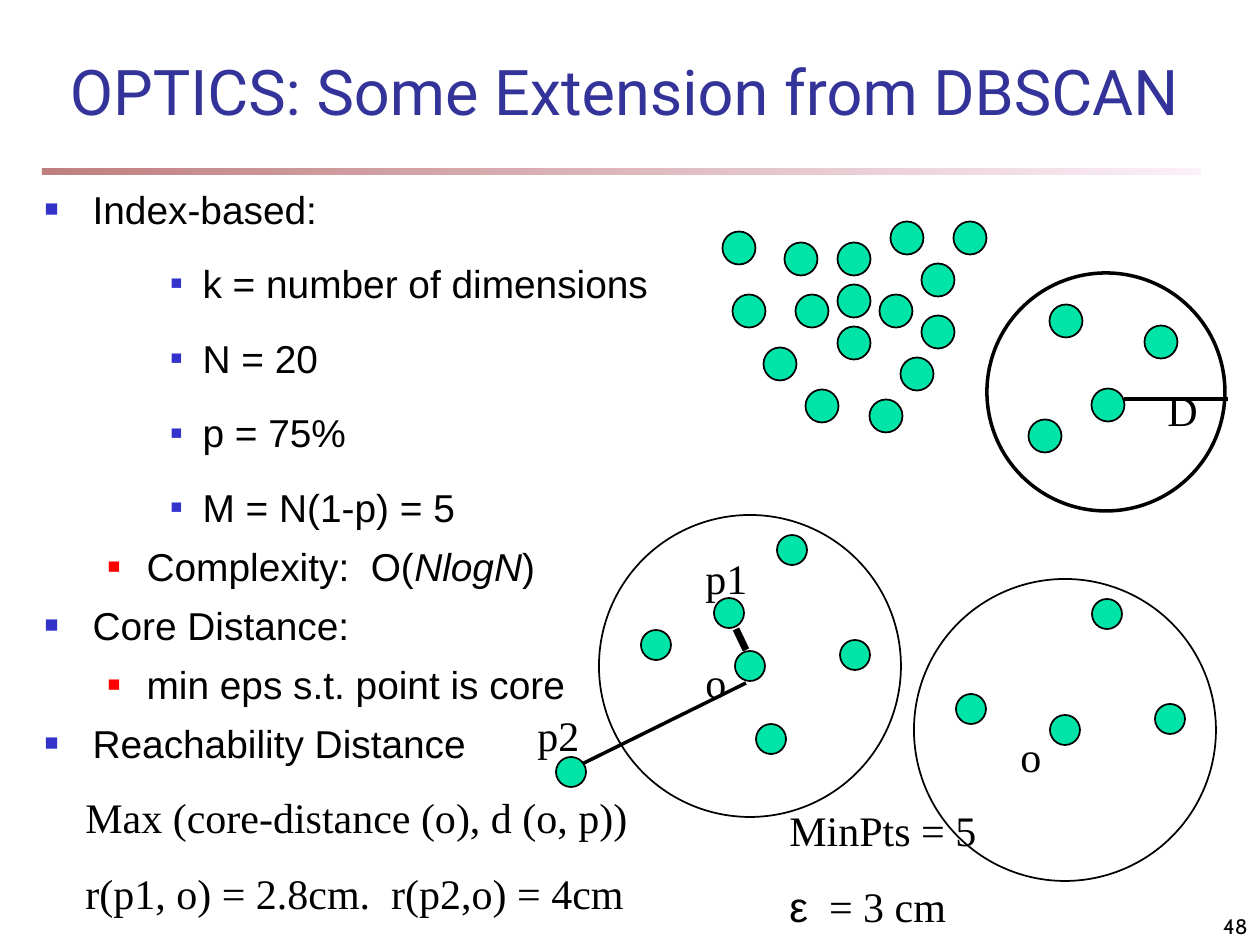
import pptx
import pptx.util
import pptx.dml.color
import pptx.enum.shapes
import pptx.enum.text
import pptx.oxml.ns
import lxml.etree

PX = 914400 // 126
THEME = {
    "title": ("Roboto", 36, "333399"),
    "body": ("Arial", 22.2, "000000"),
    "label": ("Times New Roman", 24, "000000"),
    "symbol": ("Arial", 24, "000000"),
    "number": ("Cabin", 12, "000000"),
    "dot": "00E4A8",
    "line": "000000",
    "rule": ("800000", "FAE2F6"),
}
LEVELS = [
    {"indent": 48, "hang": 48, "before": 7, "bullet": "3333CC", "size": 60},
    {"indent": 102, "hang": 39, "before": 7, "bullet": "FF0000", "size": 55},
    {"indent": 158, "hang": 32, "before": 16, "bullet": "3333CC", "size": 50},
]
TITLE = "OPTICS: Some Extension from DBSCAN"
BODY = [
    (0, ["Index-based: "]),
    (2, ["k = number of dimensions "]),
    (2, ["N = 20"]),
    (2, ["p = 75%"]),
    (2, ["M = N(1-p) = 5"]),
    (1, ["Complexity:  O(", "NlogN", ")"]),
    (0, ["Core Distance: "]),
    (1, ["min eps s.t. point is core"]),
    (0, ["Reachability Distance"]),
]
ITALIC = {"NlogN"}
CIRCLES = [(1106, 392, 238, 2), (750, 666, 302, 1), (1065, 730, 302, 1)]
LINES = [
    (1124, 399, 1228, 399, 2),
    (736, 629, 746, 650, 4),
    (746, 683, 578, 766, 2),
]
DOTS = {
    33: [
        (739, 248), (801, 259), (854, 259), (907, 238), (970, 238), (938, 280),
        (749, 311), (812, 311), (854, 301), (896, 311), (938, 332), (854, 343),
        (780, 364), (917, 374), (822, 406), (886, 416),
        (1066, 321), (1161, 342), (1108, 405), (1045, 436),
    ],
    30: [
        (792, 550), (729, 613), (656, 645), (750, 666), (855, 655), (771, 739),
        (571, 772), (1107, 614), (971, 709), (1065, 730), (1170, 719),
    ],
}
LABELS = [
    (1155, 378, 60, 63, [[("D", "label")]]),
    (525, 703, 73, 63, [[("p2", "label")]]),
    (693, 546, 73, 63, [[("p1", "label")]]),
    (693, 650, 73, 63, [[("o", "label")]]),
    (1008, 724, 73, 63, [[("o", "label")]]),
    (777, 798, 242, 140, [[("MinPts = 5", "label")],
                          [("ε", "symbol"), ("  = 3 cm", "label")]]),
    (73, 785, 599, 140, [[("Max (core-distance (o), d (o, p))", "label")],
                         [("r(p1, o) = 2.8cm.  r(p2,o) = 4cm", "label")]]),
]


def px(*values):
    return [v * PX for v in values]


def rgb(value):
    return pptx.dml.color.RGBColor.from_string(value)


def child(parent, tag, **attrs):
    el = lxml.etree.SubElement(parent, pptx.oxml.ns.qn(tag))
    for key, value in attrs.items():
        el.set(key, str(value))
    return el


def add_run(p, text, style):
    name, size, color = THEME[style]
    r = p.add_run()
    r.text = text
    r.font.name = name
    r.font.size = pptx.util.Pt(size)
    r.font.color.rgb = rgb(color)
    return r


def paragraph(tf, i):
    return tf.add_paragraph() if i else tf.paragraphs[0]


def place(sp, *box):
    sp.left, sp.top, sp.width, sp.height = px(*box)


def add_circle(cx, cy, d, width, fill=None):
    box = px(cx - d / 2, cy - d / 2, d, d)
    sp = shapes.add_shape(pptx.enum.shapes.MSO_SHAPE.OVAL, *map(int, box))
    sp.shadow.inherit = False
    if fill:
        sp.fill.solid()
        sp.fill.fore_color.rgb = rgb(fill)
    else:
        sp.fill.background()
    sp.line.color.rgb = rgb(THEME["line"])
    sp.line.width = pptx.util.Pt(width)


def add_text(x, y, w, h):
    tf = shapes.add_textbox(*px(x, y, w, h)).text_frame
    tf.word_wrap = True
    return tf


prs = pptx.Presentation()
prs.slide_width, prs.slide_height = px(1260, 945)
s = prs.slides.add_slide(prs.slide_layouts[1])
shapes = s.shapes

rule = shapes.add_shape(pptx.enum.shapes.MSO_SHAPE.RECTANGLE, *px(42, 168, 1159, 7))
rule.shadow.inherit = False
rule.line.fill.background()
rule.fill.gradient()
rule.fill.gradient_angle = 0
for stop, color in zip(rule.fill.gradient_stops, THEME["rule"]):
    stop.color.rgb = rgb(color)
for clr in rule._element.spPr.iter(pptx.oxml.ns.qn("a:srgbClr")):
    child(clr, "a:alpha", val=50000)

title = shapes.title
place(title, 42, 60, 1165, 61)
tf = title.text_frame
tf.vertical_anchor = pptx.enum.text.MSO_ANCHOR.MIDDLE
tf.auto_size = pptx.enum.text.MSO_AUTO_SIZE.NONE
tf.paragraphs[0].alignment = pptx.enum.text.PP_ALIGN.CENTER
add_run(tf.paragraphs[0], TITLE, "title")

body = s.placeholders[1]
place(body, 32, 179, 714, 546)
tf = body.text_frame
tf.auto_size = pptx.enum.text.MSO_AUTO_SIZE.NONE
for i, (level, runs) in enumerate(BODY):
    look = LEVELS[level]
    p = paragraph(tf, i)
    p.level = level
    p.space_before = pptx.util.Pt(look["before"])
    pPr = p._p.get_or_add_pPr()
    pPr.set("marL", str(look["indent"] * PX))
    pPr.set("indent", str(-look["hang"] * PX))
    child(child(pPr, "a:buClr"), "a:srgbClr", val=look["bullet"])
    child(pPr, "a:buSzPct", val=look["size"] * 1000)
    child(pPr, "a:buFont", typeface="Arial")
    child(pPr, "a:buChar", char="■")
    for text in runs:
        r = add_run(p, text, "body")
        if text in ITALIC:
            r.font.italic = True

for circle in CIRCLES:
    add_circle(*circle)

for x1, y1, x2, y2, width in LINES:
    line = shapes.add_connector(pptx.enum.shapes.MSO_CONNECTOR.STRAIGHT, *px(x1, y1, x2, y2))
    line.line.color.rgb = rgb(THEME["line"])
    line.line.width = pptx.util.Pt(width)
    child(line._element.spPr, "a:effectLst")

for d, centres in DOTS.items():
    for cx, cy in centres:
        add_circle(cx, cy, d, 1, THEME["dot"])

for x, y, w, h, lines in LABELS:
    tf = add_text(x, y, w, h)
    tf.auto_size = pptx.enum.text.MSO_AUTO_SIZE.SHAPE_TO_FIT_TEXT
    for i, runs in enumerate(lines):
        p = paragraph(tf, i)
        p.space_before = pptx.util.Pt(15)
        for text, style in runs:
            add_run(p, text, style)

tf = add_text(998, 892, 262, 53)
tf.vertical_anchor = pptx.enum.text.MSO_ANCHOR.BOTTOM
tf.paragraphs[0].alignment = pptx.enum.text.PP_ALIGN.RIGHT
add_run(tf.paragraphs[0], "48", "number")

prs.save("out.pptx")
